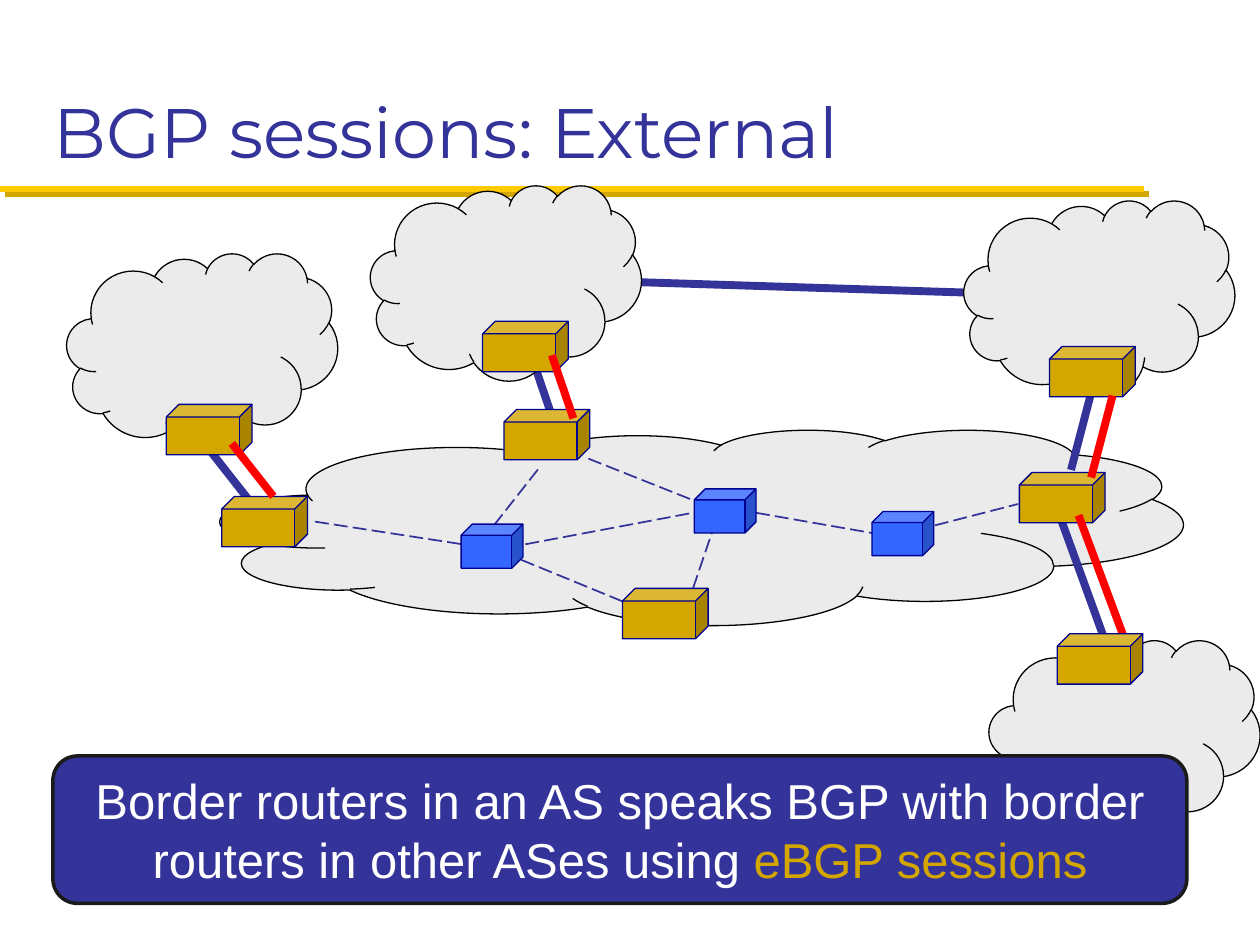
import pptx
import pptx.dml.color
import pptx.enum.dml
import pptx.enum.shapes
import pptx.enum.text
import pptx.oxml
import pptx.util
from pptx.util import Inches

SHAPES = pptx.enum.shapes.MSO_SHAPE
NAVY, GOLD, BLUE, RED, GREY = "333399", "D3A600", "3366FF", "FF0000", "EBEBEB"
NAMESPACE = 'xmlns:a="http://schemas.openxmlformats.org/drawingml/2006/main"'


def color(hex_value):
    """Turn a hex string into a colour."""
    return pptx.dml.color.RGBColor.from_string(hex_value)


def add_line(start, end, line_color, width, effect=""):
    """Draw a straight line with an optional effect."""
    line = slide.shapes.add_connector(
        pptx.enum.shapes.MSO_CONNECTOR.STRAIGHT, *map(Inches, start + end))
    line.line.color.rgb = color(line_color)
    line.line.width = pptx.util.Pt(width)
    line._element.spPr.append(pptx.oxml.parse_xml(
        f"<a:effectLst {NAMESPACE}>{effect}</a:effectLst>"))
    return line


def add_block(preset, left, top, width, height, fill, outline, line_width=0.75):
    """Draw a filled and outlined preset shape."""
    shape = slide.shapes.add_shape(preset, *map(Inches, (left, top, width, height)))
    shape.shadow.inherit = False
    shape.fill.solid()
    shape.fill.fore_color.rgb = color(fill)
    shape.line.color.rgb = color(outline)
    shape.line.width = pptx.util.Pt(line_width)
    return shape


presentation = pptx.Presentation()
presentation.slide_width = Inches(10)
presentation.slide_height = Inches(7.5)
slide = presentation.slides.add_slide(presentation.slide_layouts[6])

# Title and rule
rule_shadow = (f'<a:outerShdw dist="53340" dir="2700000" algn="ctr" rotWithShape="0">'
               f'<a:srgbClr val="{GOLD}"/></a:outerShdw>')
add_line((0, 1.5), (9.08, 1.5), "FFCB05", 3.5, rule_shadow)

title = slide.shapes.add_textbox(Inches(0.33), Inches(0.17), Inches(9.33), Inches(1.25))
title.text_frame.word_wrap = True
title.text_frame.vertical_anchor = pptx.enum.text.MSO_ANCHOR.BOTTOM
paragraph = title.text_frame.paragraphs[0]
paragraph.text = "BGP sessions: External"
paragraph.font.size = pptx.util.Pt(40)
paragraph.font.name = "Montserrat"
paragraph.font.color.rgb = color(NAVY)

# Central network and its links
add_block(SHAPES.CLOUD, 1.75, 3.41, 7.64, 1.55, GREY, "000000")

physical_links = [
    ((5.08, 2.24), (7.92, 2.33)),
    ((8.83, 5.25), (8.42, 4.12)),
    ((1.67, 3.58), (2, 4)),
    ((4.25, 2.92), (4.42, 3.42)),
    ((8.67, 3.08), (8.5, 3.73)),
]
for start, end in physical_links:
    add_line(start, end, NAVY, 4.5)

internal_links = [
    ((2.5, 4.14), (3.67, 4.32)),
    ((3.92, 4.17), (4.29, 3.7)),
    ((4.17, 4.32), (5.5, 4.07)),
    ((5.5, 4.67), (5.67, 4.17)),
    ((7.42, 4.17), (8.08, 4)),
    ((5.08, 4.83), (4.08, 4.42)),
    ((6, 4.07), (6.92, 4.23)),
    ((4.67, 3.64), (5.5, 3.97)),
]
for start, end in internal_links:
    link = add_line(start, end, NAVY, 1)
    link.line.dash_style = pptx.enum.dml.MSO_LINE.LONG_DASH

# Neighbouring networks
for left, top in [(0.53, 2.01), (2.94, 1.47), (7.65, 1.59), (7.85, 5.08)]:
    add_block(SHAPES.CLOUD, left, top, 2.15, 1.55, GREY, "000000")

# Routers, with the eBGP sessions between border routers
border_routers = [(4, 3.25), (8.09, 3.75), (1.76, 3.94), (4.94, 4.67),
                  (1.32, 3.21), (3.83, 2.55), (8.33, 2.75), (8.39, 5.03)]
internal_routers = [(3.66, 4.16), (5.51, 3.88), (6.92, 4.06)]
sessions = [
    ((1.84, 3.52), (2.17, 3.94)),
    ((4.38, 2.82), (4.55, 3.32)),
    ((8.83, 3.14), (8.66, 3.79)),
    ((8.98, 5.22), (8.56, 4.09)),
]
for left, top in internal_routers:
    add_block(SHAPES.CUBE, left, top, 0.49, 0.35, BLUE, "000090")
for left, top in border_routers[:-1]:
    add_block(SHAPES.CUBE, left, top, 0.68, 0.4, GOLD, "000090")
for start, end in sessions:
    add_line(start, end, RED, 4.5)
# The lowest router covers the end of its session
add_block(SHAPES.CUBE, *border_routers[-1], 0.68, 0.4, GOLD, "000090")

# Summary
summary = add_block(SHAPES.ROUNDED_RECTANGLE, 0.42, 6, 9, 1.17, NAVY, "1A1A1A", 2)
summary.text_frame.word_wrap = True
summary.text_frame.vertical_anchor = pptx.enum.text.MSO_ANCHOR.MIDDLE
paragraph = summary.text_frame.paragraphs[0]
paragraph.alignment = pptx.enum.text.PP_ALIGN.CENTER
paragraph.font.size = pptx.util.Pt(28)
paragraph.font.name = "Arial"
for text, text_color in [
    ("Border routers in an AS speaks BGP with border routers in other ASes using ", "FFFFFF"),
    ("eBGP sessions", GOLD),
]:
    run = paragraph.add_run()
    run.text = text
    run.font.color.rgb = color(text_color)

presentation.save("out.pptx")
